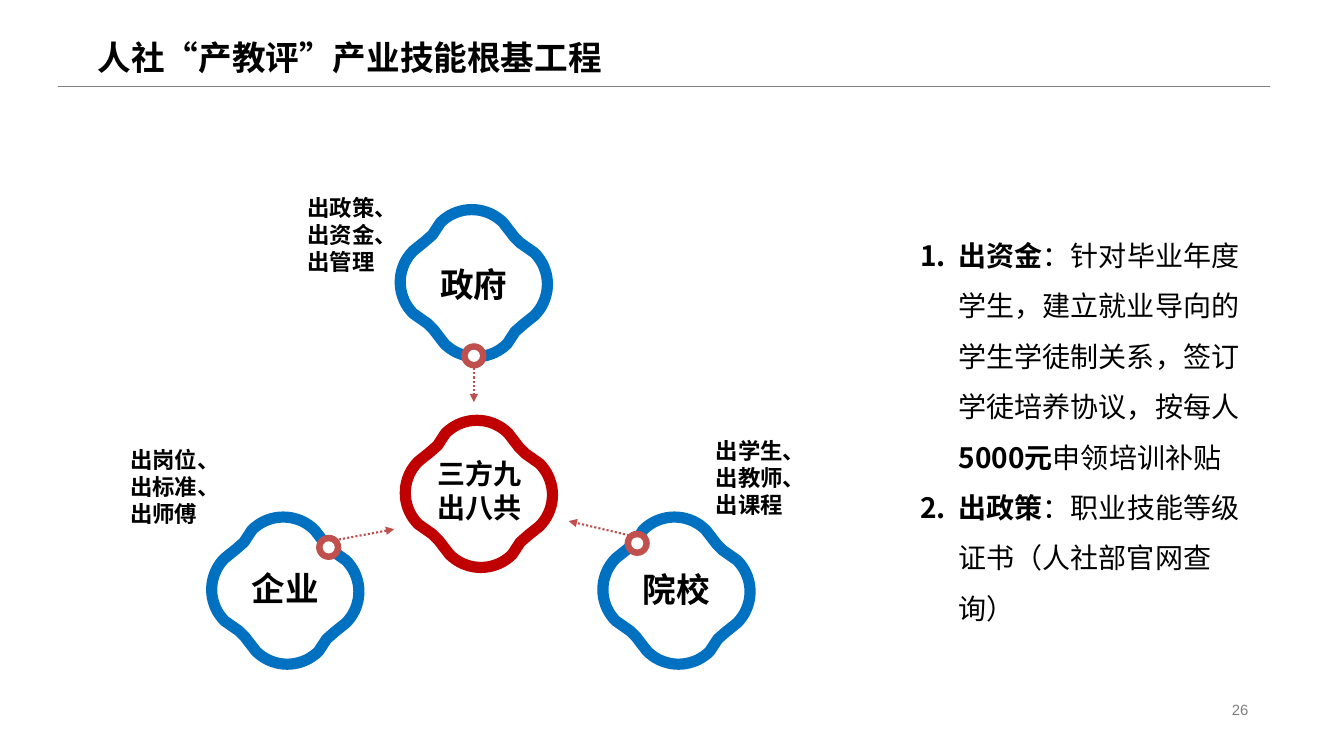
import math

from lxml import etree
from pptx import Presentation
from pptx.dml.color import RGBColor
from pptx.enum import dml, shapes, text
from pptx.oxml import ns
from pptx.util import Inches, Pt

BLACK = RGBColor(0x00, 0x00, 0x00)
WHITE = RGBColor(0xFF, 0xFF, 0xFF)
GRAY = RGBColor(0x7F, 0x7F, 0x7F)
BLUE = RGBColor(0x00, 0x70, 0xC0)
RED = RGBColor(0xC0, 0x00, 0x00)
BRICK = RGBColor(0xC0, 0x50, 0x4D)
FONT = "Noto Sans CJK SC"

BADGE_SIZE = 1.46
LOBE_RADIUS = 0.44

# Box left and top; the other places are offsets from that corner
PARTIES = [
    dict(box=(3.97, 2.08), name="政府", name_top=0.49,
         duties=["出政策、", "出资金、", "出管理"], duties_box=(-0.92, -0.15, 1.42),
         dot=(0.73, 1.45), arrow=((0.73, 1.53), (0.73, 1.91))),
    dict(box=(2.10, 5.13), name="企业", name_top=0.45,
         duties=["出岗位、", "出标准、", "出师傅"], duties_box=(-0.81, -0.70, 1.05),
         dot=(1.16, 0.30), arrow=((1.22, 0.23), (1.81, 0.12))),
    dict(box=(5.98, 5.13), name="院校", name_top=0.46,
         duties=["出学生、", "出教师、", "出课程"], duties_box=(1.12, -0.79, 0.90),
         dot=(0.34, 0.26), arrow=((0.30, 0.19), (-0.34, 0.04))),
]

MEASURES = [
    [("出资金", True),
     ("：针对毕业年度学生，建立就业导向的学生学徒制关系，签订学徒培养协议，按每人", False),
     ("5000元", True), ("申领培训补贴", False)],
    [("出政策", True), ("：职业技能等级证书（人社部官网查询）", False)],
]


def add_text(slide, paragraphs, left, top, width, height, size=16, color=BLACK,
             font=FONT, bold=True, align=text.PP_ALIGN.LEFT, anchor=text.MSO_ANCHOR.TOP,
             inset=True, spacing=1.2, numbered=False):
    """Each paragraph is a string or a list of (string, bold) runs."""
    shape = slide.shapes.add_textbox(Inches(left), Inches(top), Inches(width), Inches(height))
    frame = shape.text_frame
    frame.word_wrap = True
    frame.vertical_anchor = anchor
    if not inset:
        frame.margin_left = frame.margin_right = frame.margin_top = frame.margin_bottom = 0
    for index, content in enumerate(paragraphs):
        paragraph = frame.paragraphs[0] if index == 0 else frame.add_paragraph()
        paragraph.alignment = align
        paragraph.line_spacing = Pt(size * spacing)
        if numbered:
            properties = paragraph._p.get_or_add_pPr()
            properties.set("marL", str(Inches(0.88)))
            properties.set("indent", str(Inches(-0.38)))
            etree.SubElement(properties, ns.qn("a:buFont"), typeface=font)
            etree.SubElement(properties, ns.qn("a:buAutoNum"), type="arabicPeriod")
        runs = [(content, bold)] if isinstance(content, str) else content
        for words, run_bold in runs:
            run = paragraph.add_run()
            run.text = words
            run.font.size = Pt(size)
            run.font.bold = run_bold
            run.font.name = font
            run.font.color.rgb = color
            etree.SubElement(run._r.get_or_add_rPr(), ns.qn("a:ea"), typeface=font)
    return shape


def add_line(slide, start, end, color, width, dotted_arrow=False):
    line = slide.shapes.add_connector(
        shapes.MSO_CONNECTOR.STRAIGHT, *(Inches(value) for value in (*start, *end)))
    line.line.color.rgb = color
    line.line.width = Pt(width)
    if dotted_arrow:
        line.line.dash_style = dml.MSO_LINE.ROUND_DOT
        etree.SubElement(line.line._get_or_add_ln(), ns.qn("a:tailEnd"), type="triangle")
    etree.SubElement(line._element.spPr, ns.qn("a:effectLst"))


def lobe(center_x, center_y, start_angle):
    """Points of a quarter circle, counterclockwise from start_angle."""
    angles = [math.radians(start_angle + step * 5) for step in range(19)]
    return [(center_x + LOBE_RADIUS * math.cos(angle),
             center_y - LOBE_RADIUS * math.sin(angle)) for angle in angles]


def add_badge(slide, left, top, color):
    """Four-lobed outline; its second half is the first turned by 180 degrees."""
    half = (lobe(-0.02, -0.29, 45) + [(-0.41, -0.48), (-0.49, -0.41)]
            + lobe(-0.29, -0.01, 135) + [(-0.46, 0.40), (-0.40, 0.46)])
    outline = half + [(-x, -y) for x, y in half]
    center_x, center_y = left + BADGE_SIZE / 2, top + BADGE_SIZE / 2
    points = [(Inches(center_x + x), Inches(center_y + y)) for x, y in outline]
    builder = slide.shapes.build_freeform(*points[0])
    builder.add_line_segments(points[1:], close=True)
    badge = builder.convert_to_shape()
    badge.shadow.inherit = False
    badge.fill.background()
    badge.line.color.rgb = color
    badge.line.width = Pt(8)


def add_dot(slide, center_x, center_y):
    for diameter, color in ((0.25, BRICK), (0.12, WHITE)):
        dot = slide.shapes.add_shape(
            shapes.MSO_SHAPE.OVAL, Inches(center_x - diameter / 2),
            Inches(center_y - diameter / 2), Inches(diameter), Inches(diameter))
        dot.shadow.inherit = False
        dot.fill.solid()
        dot.fill.fore_color.rgb = color
        dot.line.fill.background()


def add_header(slide, left, top, width):
    add_line(slide, (left, top + 0.62), (left + width, top + 0.62), GRAY, 0.25)
    add_text(slide, ["人社“产教评”产业技能根基工程"], left + 0.29, top + 0.03, 9.45, 0.59,
             size=24, anchor=text.MSO_ANCHOR.MIDDLE)


def add_party(slide, party):
    left, top = party["box"]
    duties_x, duties_y, duties_width = party["duties_box"]
    add_text(slide, party["duties"], left + duties_x, top + duties_y, duties_width, 0.81,
             inset=False)
    add_badge(slide, left, top, BLUE)
    add_dot(slide, left + party["dot"][0], top + party["dot"][1])
    start, end = [(left + x, top + y) for x, y in party["arrow"]]
    add_line(slide, start, end, BRICK, 1.5, dotted_arrow=True)
    add_text(slide, [party["name"]], left + 0.15, top + party["name_top"], 1.16, 0.81,
             size=24, align=text.PP_ALIGN.CENTER)


def add_core(slide, left, top):
    add_badge(slide, left, top, RED)
    add_text(slide, ["三方九出八共"], left + 0.16, top + 0.31, 1.16, 0.98,
             size=20, align=text.PP_ALIGN.CENTER)


def add_measures(slide, left, top, width, height):
    add_text(slide, MEASURES, left, top, width, height, size=20, spacing=1.8, numbered=True)


def main():
    presentation = Presentation()
    presentation.slide_width = Inches(13.33)
    presentation.slide_height = Inches(7.5)
    slide = presentation.slides.add_slide(presentation.slide_layouts[6])

    # Title and rule
    add_header(slide, 0.58, 0.24, 12.02)

    # Three parties around the core
    for party in PARTIES:
        add_party(slide, party)
    add_core(slide, 4.02, 4.17)

    # Measures on the right
    add_measures(slide, 8.53, 2.15, 4.01, 3.83)

    # Page number
    add_text(slide, ["26"], 11.99, 6.9, 0.62, 0.25, size=10.6, color=GRAY, font="Arial",
             bold=False, align=text.PP_ALIGN.CENTER)

    presentation.save("out.pptx")


if __name__ == "__main__":
    main()
